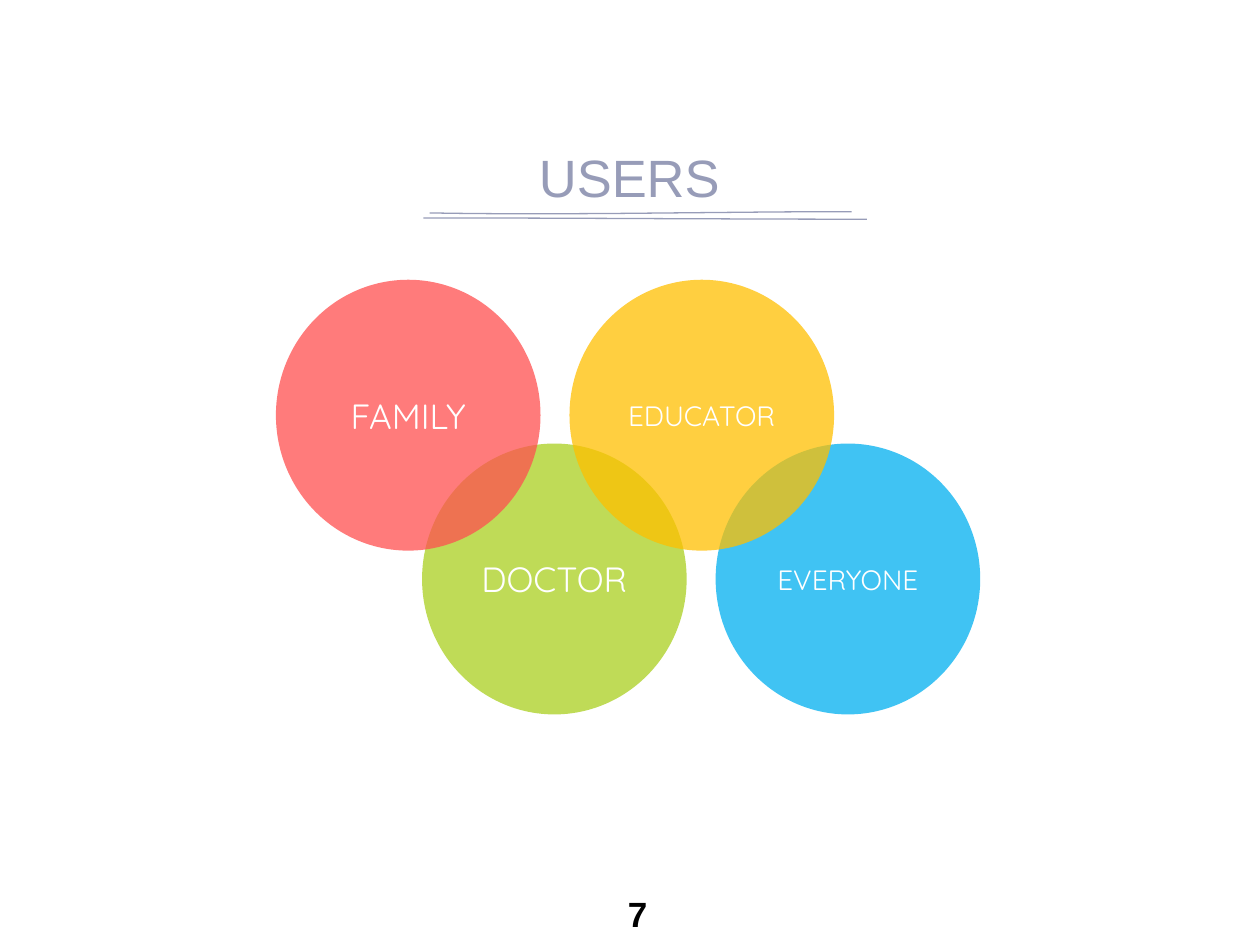
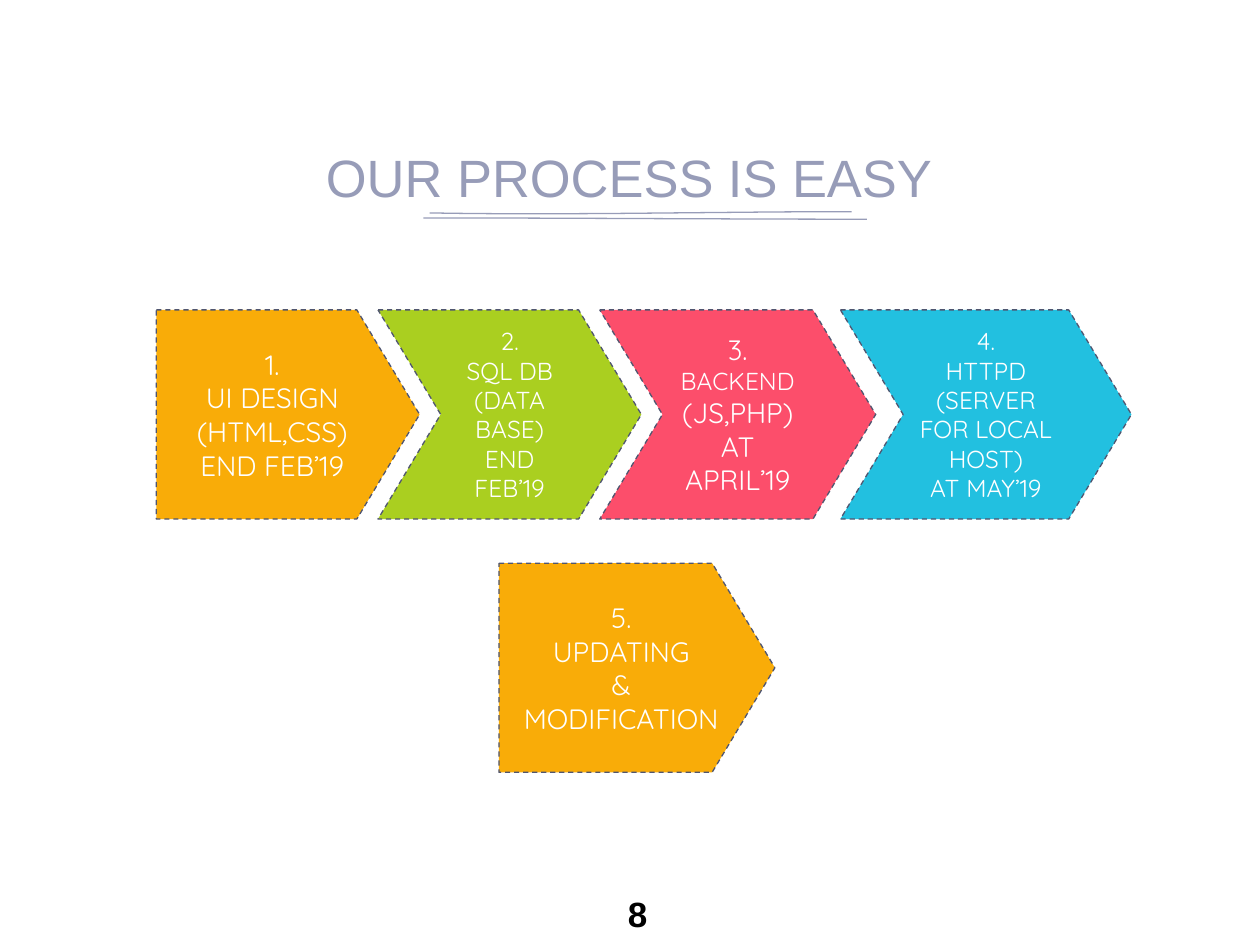
"""Build two slides: the users of the project and its process steps."""
from dataclasses import dataclass

from lxml import etree
from pptx import Presentation
from pptx import util as u
from pptx.dml.color import RGBColor
from pptx.enum import dml, shapes, text
from pptx.oxml import ns

COLOURS = {
    "title": "979CB8", "outline": "505670", "white": "FFFFFF", "black": "000000",
    "green": "AACF20", "sky": "00B0F0", "coral": "FF5050", "amber": "FFC000",
    "orange": "F9AC08", "pink": "FC4E6B", "cyan": "22C0E0",
}
TITLE_FONT, BODY_FONT = "Arial", "Quicksand"
MARGIN = u.Inches(0.1)
CIRCLE_SIZE = (2.1, 2.15)
CIRCLE_ORIGIN = (2.19, 2.22)
COLUMN_PITCH = 2.33
LOWER_ROW_SHIFT = (1.16, 1.3)
STEP_HEIGHT = 1.66
ARROW_POINT = 0.3
UNDERLINES = (
    ((3.41, 1.69), (4.53, 1.71), (5.64, 1.68), (6.76, 1.68)),
    ((3.36, 1.73), (4.53, 1.73), (5.71, 1.74), (6.88, 1.74)),
)


@dataclass(frozen=True)
class Words:
    content: str
    size: float
    font: str = BODY_FONT
    colour: str = "white"
    bold: bool = False


@dataclass(frozen=True)
class User:
    label: str
    column: int
    row: int
    colour: str
    size: float


@dataclass(frozen=True)
class Step:
    left: float
    top: float
    width: float
    outline: shapes.MSO_SHAPE
    colour: str
    lines: tuple


USERS = (
    User("DOCTOR", 0, 1, "green", 20),
    User("EVERYONE", 1, 1, "sky", 16),
    User("FAMILY", 0, 0, "coral", 20),
    User("EDUCATOR", 1, 0, "amber", 16),
)


def plain(size: float, *lines: str) -> tuple:
    """Return one single-run paragraph for each line, all of one size."""
    return tuple((Words(line, size),) for line in lines)


PLATE, CHEVRON = shapes.MSO_SHAPE.PENTAGON, shapes.MSO_SHAPE.CHEVRON
STEPS = (
    Step(1.24, 2.46, 2.09, PLATE, "orange",
         plain(16, "1.", "UI DESIGN", "(HTML,CSS)", "END FEB’19")),
    Step(3, 2.46, 2.09, CHEVRON, "green",
         plain(14, "2.", "SQL DB", "(DATA", "BASE)", "END FEB’19")),
    Step(4.76, 2.46, 2.19, CHEVRON, "pink",
         ((Words("3. ", 16), Words("BACKEND", 14)),
          *plain(16, "(JS,PHP)", "AT APRIL’19"))),
    Step(6.67, 2.46, 2.31, CHEVRON, "cyan",
         plain(14, "4.", "HTTPD", "(SERVER FOR LOCAL HOST)", "AT MAY’19")),
    Step(3.96, 4.47, 2.19, PLATE, "orange",
         plain(16, "5.", "UPDATING", "&", "MODIFICATION")),
)


def rgb(name: str) -> RGBColor:
    """Look up a named colour."""
    return RGBColor.from_string(COLOURS[name])


def box(left: float, top: float, width: float, height: float) -> tuple:
    """Turn a rectangle in inches into lengths."""
    return tuple(u.Inches(length) for length in (left, top, width, height))


def write(shape, lines: tuple, anchor=text.MSO_ANCHOR.MIDDLE) -> None:
    """Fill a shape with centred paragraphs, run by run."""
    frame = shape.text_frame
    frame.word_wrap = True
    frame.auto_size = text.MSO_AUTO_SIZE.NONE
    frame.vertical_anchor = anchor
    frame.margin_left = frame.margin_right = MARGIN
    frame.margin_top = frame.margin_bottom = MARGIN
    for index, line in enumerate(lines):
        paragraph = frame.add_paragraph() if index else frame.paragraphs[0]
        paragraph.alignment = text.PP_ALIGN.CENTER
        for words in line:
            run = paragraph.add_run()
            run.text = words.content
            run.font.name = words.font
            run.font.size = u.Pt(words.size)
            run.font.bold = words.bold
            run.font.color.rgb = rgb(words.colour)


def add_filled(slide, kind, bounds: tuple, colour: str):
    """Add a preset shape with a flat fill."""
    shape = slide.shapes.add_shape(kind, *bounds)
    shape.shadow.inherit = False
    shape.fill.solid()
    shape.fill.fore_color.rgb = rgb(colour)
    return shape


def bezier(points: tuple, t: float) -> tuple:
    """Return the point of a cubic curve at t."""
    weights = ((1 - t) ** 3, 3 * t * (1 - t) ** 2, 3 * t * t * (1 - t), t ** 3)
    return tuple(u.Inches(sum(w * p[axis] for w, p in zip(weights, points)))
                 for axis in (0, 1))


def add_underlines(slide, layout) -> None:
    """Draw the title's hand-drawn underlines and place them on the layout."""
    for curve in UNDERLINES:
        start, *rest = (bezier(curve, part / 20) for part in range(21))
        builder = slide.shapes.build_freeform(*start)
        builder.add_line_segments(rest, close=False)
        stroke = builder.convert_to_shape()
        stroke.shadow.inherit = False
        stroke.fill.background()
        stroke.line.color.rgb = rgb("title")
        stroke.line.width = u.Pt(0.75)
        layout.shapes.element.append(stroke.element)


def add_titled_slide(deck, layout, heading: str, number: int):
    """Add a slide with its title and page number."""
    slide = deck.slides.add_slide(layout)
    title = slide.shapes.title
    title.left, title.top, title.width, title.height = box(1.12, 0.75, 7.75, 1)
    write(title, ((Words(heading, 30, TITLE_FONT, "title"),),), text.MSO_ANCHOR.BOTTOM)
    page = slide.shapes.add_textbox(*box(4.76, 6.98, 0.6, 0.44))
    write(page, ((Words(str(number), 20, TITLE_FONT, "black", True),),),
          text.MSO_ANCHOR.TOP)
    return slide


def add_user(slide, user: User) -> None:
    """Add a translucent circle for one group of users."""
    left, top = CIRCLE_ORIGIN
    left += user.column * COLUMN_PITCH + user.row * LOWER_ROW_SHIFT[0]
    top += user.row * LOWER_ROW_SHIFT[1]
    circle = add_filled(slide, shapes.MSO_SHAPE.OVAL,
                        box(left, top, *CIRCLE_SIZE), user.colour)
    circle.line.fill.background()
    tint = circle.element.spPr.find(ns.qn("a:solidFill")).find(ns.qn("a:srgbClr"))
    etree.SubElement(tint, ns.qn("a:alpha"), val="75000")
    write(circle, plain(user.size, user.label))


def add_step(slide, step: Step) -> None:
    """Add a dashed arrow block for one step of the process."""
    block = add_filled(slide, step.outline,
                       box(step.left, step.top, step.width, STEP_HEIGHT), step.colour)
    block.adjustments[0] = ARROW_POINT
    block.line.color.rgb = rgb("outline")
    block.line.width = u.Pt(0.75)
    block.line.dash_style = dml.MSO_LINE.DASH
    write(block, step.lines)


def main() -> None:
    """Build and save the deck."""
    deck = Presentation()
    deck.slide_width, deck.slide_height = u.Inches(10), u.Inches(7.5)
    layout = deck.slide_layouts.get_by_name("Title Only")
    users_slide = add_titled_slide(deck, layout, "USERS", 7)
    add_underlines(users_slide, layout)
    for user in USERS:
        add_user(users_slide, user)
    process_slide = add_titled_slide(deck, layout, "OUR PROCESS IS EASY", 8)
    for step in STEPS:
        add_step(process_slide, step)
    deck.save("out.pptx")


if __name__ == "__main__":
    main()
